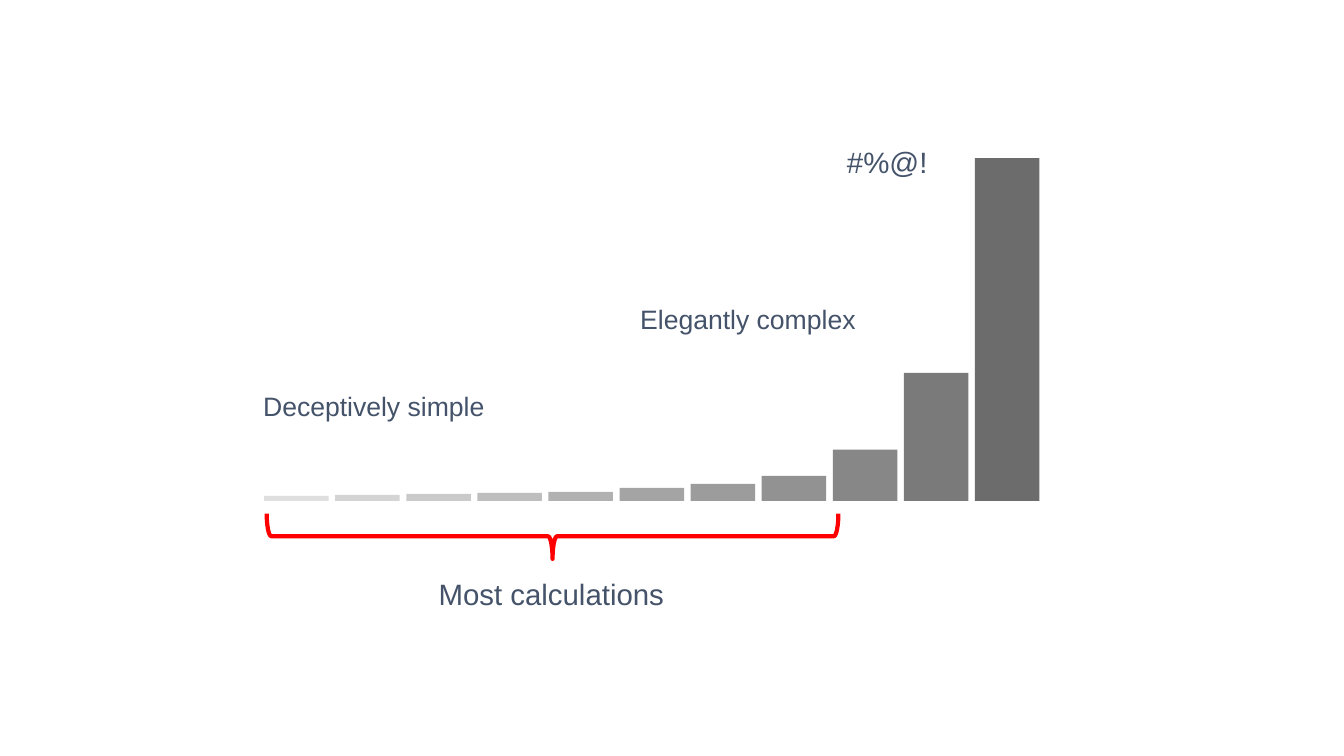
import pptx
import pptx.dml.color
import pptx.enum.shapes
import pptx.enum.text
import pptx.util

Inches = pptx.util.Inches
SHAPES = pptx.enum.shapes.MSO_SHAPE


def color(hex_value):
    return pptx.dml.color.RGBColor.from_string(hex_value)


deck = pptx.Presentation()
deck.slide_width, deck.slide_height = Inches(13.33), Inches(7.5)
page = deck.slides.add_slide(deck.slide_layouts[6])

# Bars rise from a shared baseline at an even pitch
first_left, pitch, bar_width, baseline = 2.62, 0.705, 0.64, 4.97
bars = [
    (0.05, "DFDFDF"), (0.06, "D4D4D4"), (0.07, "CACACA"), (0.08, "BEBEBE"),
    (0.09, "B1B1B1"), (0.13, "A4A4A4"), (0.17, "9C9C9C"), (0.25, "929292"),
    (0.51, "878787"), (1.27, "7A7A7A"), (3.4, "6C6C6C"),
]
for column, (height, shade) in enumerate(bars):
    bar = page.shapes.add_shape(
        SHAPES.RECTANGLE, Inches(first_left + column * pitch),
        Inches(baseline - height), Inches(bar_width), Inches(height))
    bar.shadow.inherit = False
    bar.fill.solid()
    bar.fill.fore_color.rgb = color(shade)
    bar.line.fill.background()

# A right brace turned a quarter so that its tip points down
span_width, brace_depth, middle_x, middle_y = 5.67, 0.45, 5.48, 5.32
brace = page.shapes.add_shape(
    SHAPES.RIGHT_BRACE, Inches(middle_x - brace_depth / 2),
    Inches(middle_y - span_width / 2), Inches(brace_depth), Inches(span_width))
brace.rotation = 90
brace.adjustments[0] = 0.1
brace.shadow.inherit = False
brace.fill.background()
brace.line.color.rgb = color("FF0000")
brace.line.width = pptx.util.Pt(3)

labels = [
    ("Deceptively simple", 2.61, 3.86, 2.4, 0.33, 19),
    ("#%@!", 8.4, 1.42, 0.91, 0.42, 21),
    ("Most calculations", 4.35, 5.71, 2.6, 0.42, 21),
    ("Elegantly complex", 6.35, 3, 2.55, 0.33, 19),
]
frame_format = {
    "word_wrap": True, "margin_left": 0, "margin_right": 0,
    "margin_top": Inches(0.01), "margin_bottom": 0,
    "vertical_anchor": pptx.enum.text.MSO_ANCHOR.TOP,
}
for text, left, top, width, height, size in labels:
    box = page.shapes.add_textbox(*map(Inches, (left, top, width, height)))
    for name, value in frame_format.items():
        setattr(box.text_frame, name, value)
    span = box.text_frame.paragraphs[0].add_run()
    span.text = text
    for name, value in {"name": "Arial", "size": pptx.util.Pt(size)}.items():
        setattr(span.font, name, value)
    span.font.color.rgb = color("44536A")

deck.save("out.pptx")
